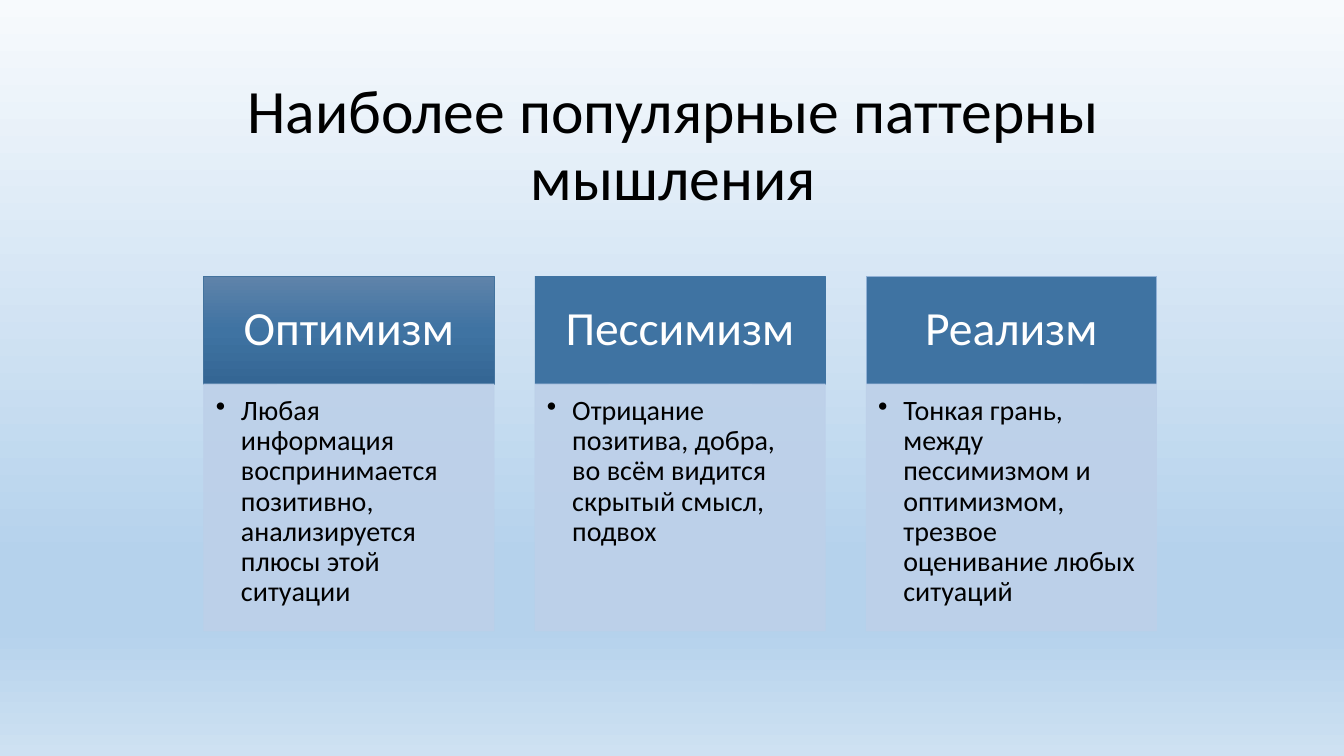
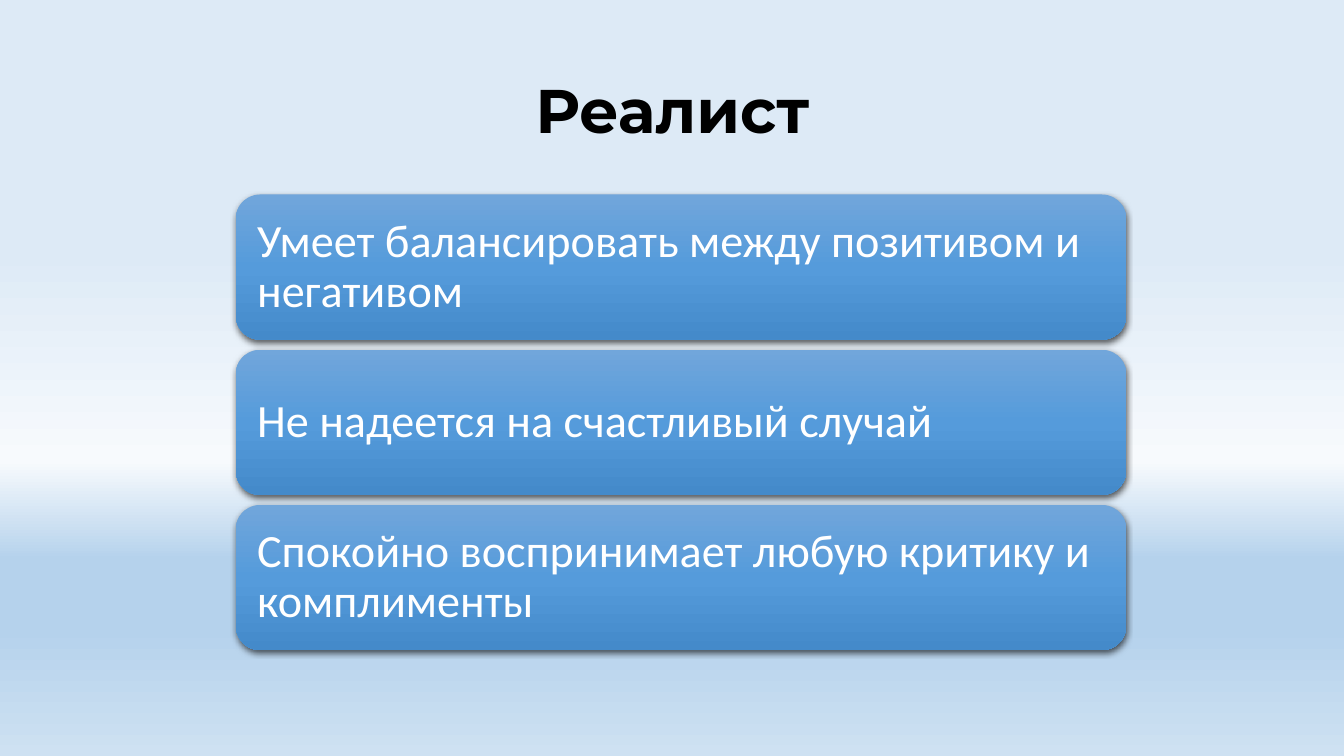
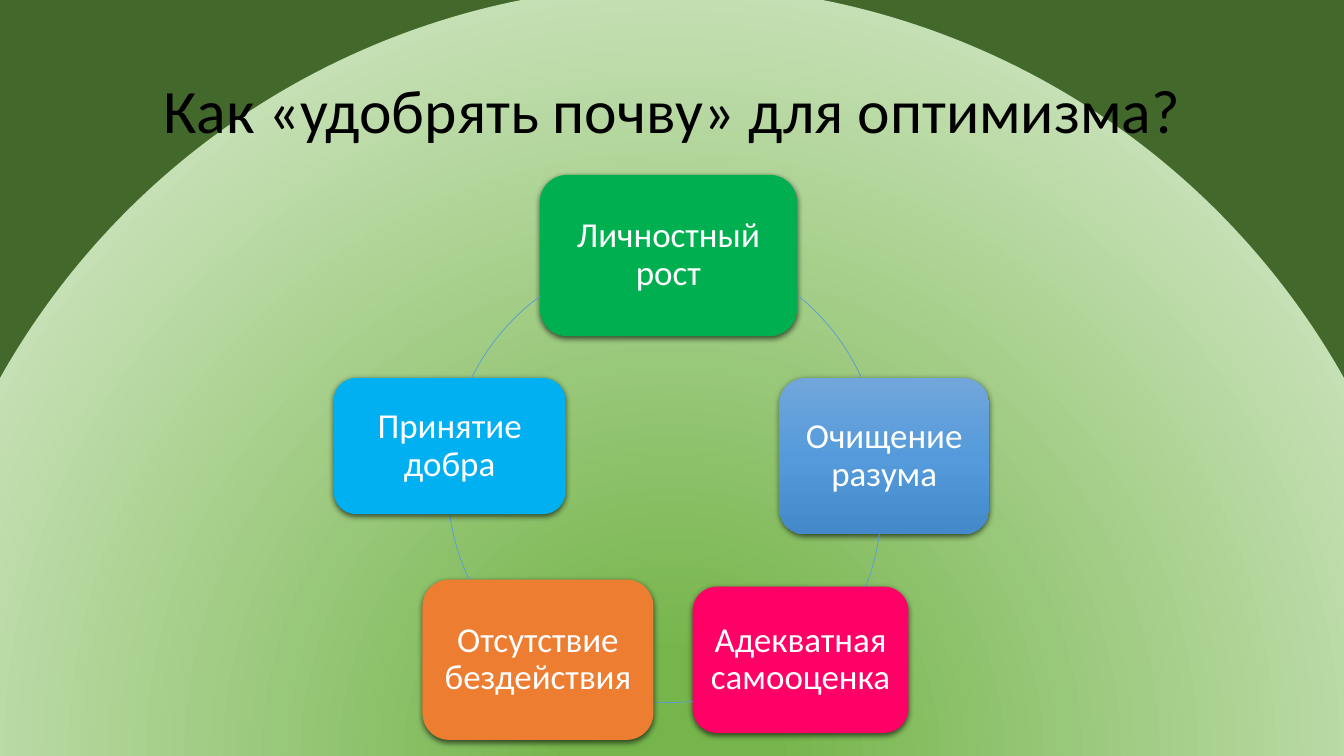
from lxml import etree
from pptx import Presentation
from pptx.dml.color import RGBColor
from pptx.enum.shapes import MSO_SHAPE as SHAPE
from pptx.enum.text import MSO_ANCHOR as ANCHOR, PP_ALIGN as ALIGN
from pptx.oxml import parse_xml
from pptx.oxml.ns import nsdecls, qn
from pptx.util import Inches, Pt

FONT = "Calibri"
BLACK, WHITE = "000000", "FFFFFF"
HEADER_BLUE, BODY_BLUE, ARC_BLUE = "3F73A2", "BDD0E9", "5B9BD5"
DOWN = '<a:lin ang="5400000" scaled="0"/>'
FROM_BOTTOM = ('<a:path path="circle">'
               '<a:fillToRect l="50000" t="130000" r="50000" b="-30000"/></a:path>')

# A gradient is a list of (percent, colour) stops.
SKY_BASE = [(74, "B5D2EC"), (83, "B5D2EC"), (100, "CEE1F2")]
SKY = [(0, "F7FAFD")] + SKY_BASE
HORIZON = [(33, "DDEAF6"), (61, "F7FAFD")] + SKY_BASE
MEADOW = [(13, "76B54C"), (100, "C5E0B4"), (100, "43682B")]
HEADER_GRADIENT = [(0, "5F83AA"), (50, HEADER_BLUE), (100, "346694")]
GLOSSY_BLUE = [(0, "71A6DB"), (50, "559BDB"), (100, "448ACA")]


def rgb(color):
    return RGBColor.from_string(color)


def paint(fill, holder, color, direction=DOWN):
    """Fill with a hex colour, or with a gradient if color is a list of stops."""
    fill.solid()
    if isinstance(color, str):
        fill.fore_color.rgb = rgb(color)
        return
    stops = "".join(f'<a:gs pos="{pos * 1000}"><a:srgbClr val="{c}"/></a:gs>'
                    for pos, c in color)
    gradient = parse_xml(f'<a:gradFill {nsdecls("a")} rotWithShape="1">'
                         f'<a:gsLst>{stops}</a:gsLst>{direction}</a:gradFill>')
    holder.replace(holder.find(qn("a:solidFill")), gradient)


def add_slide(prs, background, direction=DOWN):
    slide = prs.slides.add_slide(prs.slide_layouts[6])
    fill = slide.background.fill
    fill.solid()
    holder = slide.element.find(".//" + qn("p:bgPr"))
    paint(fill, holder, background, direction)
    return slide


def write(sp, text, size, color, align=ALIGN.CENTER, anchor=ANCHOR.MIDDLE,
          insets=(0.1, 0.05, 0.1, 0.05), font=FONT, bold=False):
    tf = sp.text_frame
    tf.text = text
    tf.word_wrap = True
    tf.vertical_anchor = anchor
    (tf.margin_left, tf.margin_top,
     tf.margin_right, tf.margin_bottom) = map(Inches, insets)
    p = tf.paragraphs[0]
    p.alignment = align
    p.line_spacing = 0.9
    f = p.runs[0].font
    f.name, f.size, f.bold = font, Pt(size), bold
    f.color.rgb = rgb(color)


def add_title(slide, text, box=(0.92, 0.4, 11.5, 1.45), **style):
    sp = slide.shapes.add_textbox(*map(Inches, box))
    write(sp, text, 44, BLACK, **style)


def add_box(slide, kind, box, color, line=None, width=0.5):
    sp = slide.shapes.add_shape(kind, *map(Inches, box))
    sp.shadow.inherit = False
    paint(sp.fill, sp.element.spPr, color)
    if line:
        sp.line.color.rgb = rgb(line)
        sp.line.width = Pt(width)
    else:
        sp.line.fill.background()
    return sp


def add_opacity(sp, percent):
    for clr in sp.element.spPr.iter(qn("a:srgbClr")):
        etree.SubElement(clr, qn("a:alpha"), val=str(percent * 1000))


def add_bullet(sp):
    pPr = sp.text_frame.paragraphs[0]._p.get_or_add_pPr()
    pPr.set("marL", str(Inches(0.25)))
    pPr.set("indent", str(Inches(-0.25)))
    etree.SubElement(pPr, qn("a:buChar"), char="•")


def add_card(slide, box, text, size, inset, color=GLOSSY_BLUE, line=None,
             align=ALIGN.CENTER):
    """Rounded box with a soft shadow below it."""
    sp = add_box(slide, SHAPE.ROUNDED_RECTANGLE, box, color, line, 0.75)
    sp.element.spPr.find(qn("a:effectLst")).append(parse_xml(
        f'<a:outerShdw {nsdecls("a")} blurRad="{Pt(4.5)}" dist="{Pt(1.5)}" '
        'dir="5400000" algn="ctr" rotWithShape="0"><a:srgbClr val="000000">'
        '<a:alpha val="63000"/></a:srgbClr></a:outerShdw>'))
    write(sp, text, size, WHITE, align, insets=[inset] * 4)


def add_arc(slide, left, top, start, end):
    """Part of the ring, clockwise between two angles in degrees."""
    diameter = 4.44
    sp = slide.shapes.add_shape(
        SHAPE.ARC, *map(Inches, (left, top, diameter, diameter)))
    sp.shadow.inherit = False
    sp.fill.background()
    sp.line.color.rgb = rgb(ARC_BLUE)
    sp.line.width = Pt(0.5)
    for i, angle in enumerate((start, end)):
        sp.adjustments[i] = angle * 0.6


def add_column(slide, left, heading, text, color, line):
    top, width, head_height, body_height = 2.74, 2.88, 1.07, 2.45
    head = add_box(slide, SHAPE.RECTANGLE, (left, top, width, head_height), color, line)
    write(head, heading, 34, WHITE, insets=(0.26, 0.15, 0.26, 0.15))
    body = add_box(slide, SHAPE.RECTANGLE,
                   (left, top + head_height, width, body_height), BODY_BLUE, BODY_BLUE)
    add_opacity(body, 90)
    write(body, text, 20, BLACK, ALIGN.LEFT, ANCHOR.TOP, (0.12, 0.12, 0.16, 0.17))
    add_bullet(body)


def patterns_slide(prs):
    slide = add_slide(prs, SKY)
    columns = [
        ("Оптимизм", "Любая информация воспринимается позитивно, "
         "анализируется плюсы этой ситуации", HEADER_GRADIENT, "43739E"),
        ("Пессимизм", "Отрицание позитива, добра, во всём видится "
         "скрытый смысл, подвох", HEADER_BLUE, HEADER_BLUE),
        ("Реализм", "Тонкая грань, между пессимизмом и оптимизмом, "
         "трезвое оценивание любых ситуаций", HEADER_BLUE, "91B1D6"),
    ]
    for i, column in enumerate(columns):
        add_column(slide, 2.02 + i * 3.285, *column)
    add_title(slide, "Наиболее популярные паттерны мышления", (2.18, 0.68, 9, 1.56))


def realist_slide(prs):
    slide = add_slide(prs, HORIZON)
    traits = [
        "Умеет балансировать между позитивом и негативом",
        "Не надеется на счастливый случай",
        "Спокойно воспринимает любую критику и комплименты",
    ]
    for i, trait in enumerate(traits):
        add_card(slide, (2.34, 1.93 + i * 1.54, 8.83, 1.44), trait, 33, 0.14,
                 align=ALIGN.LEFT)
    add_title(slide, "Реалист", font="Montserrat", bold=True)


def optimism_slide(prs):
    slide = add_slide(prs, MEADOW, FROM_BOTTOM)
    # Each step is followed by the arc that leads on to the next one.
    steps = [
        ("Личностный рост", (5.36, 1.74, 2.54, 1.59), "00B050", "00B050",
         (4.3, 2.44, 309.1, 335.4)),
        ("Очищение разума", (7.73, 3.75, 2.08, 1.55), GLOSSY_BLUE, None,
         (4.3, 2.79, 7.5, 21.2)),
        ("Адекватная самооценка", (6.87, 5.82, 2.14, 1.45), "FF0066", None,
         (4.42, 2.53, 84.1, 94.1)),
        ("Отсутствие бездействия", (4.19, 5.75, 2.29, 1.59), "ED7D31", None,
         (4.44, 2.58, 154.9, 171.9)),
        ("Принятие добра", (3.31, 3.75, 2.3, 1.35), "00B0F0", None,
         (4.45, 2.51, 206.4, 233.8)),
    ]
    for text, box, color, line, arc in steps:
        add_card(slide, box, text, 25, 0.1, color, line)
        add_arc(slide, *arc)
    add_title(slide, "Как «удобрять почву» для оптимизма?")


def main():
    prs = Presentation()
    prs.slide_width, prs.slide_height = Inches(13.33), Inches(7.5)
    patterns_slide(prs)
    realist_slide(prs)
    optimism_slide(prs)
    prs.save("out.pptx")


if __name__ == "__main__":
    main()
